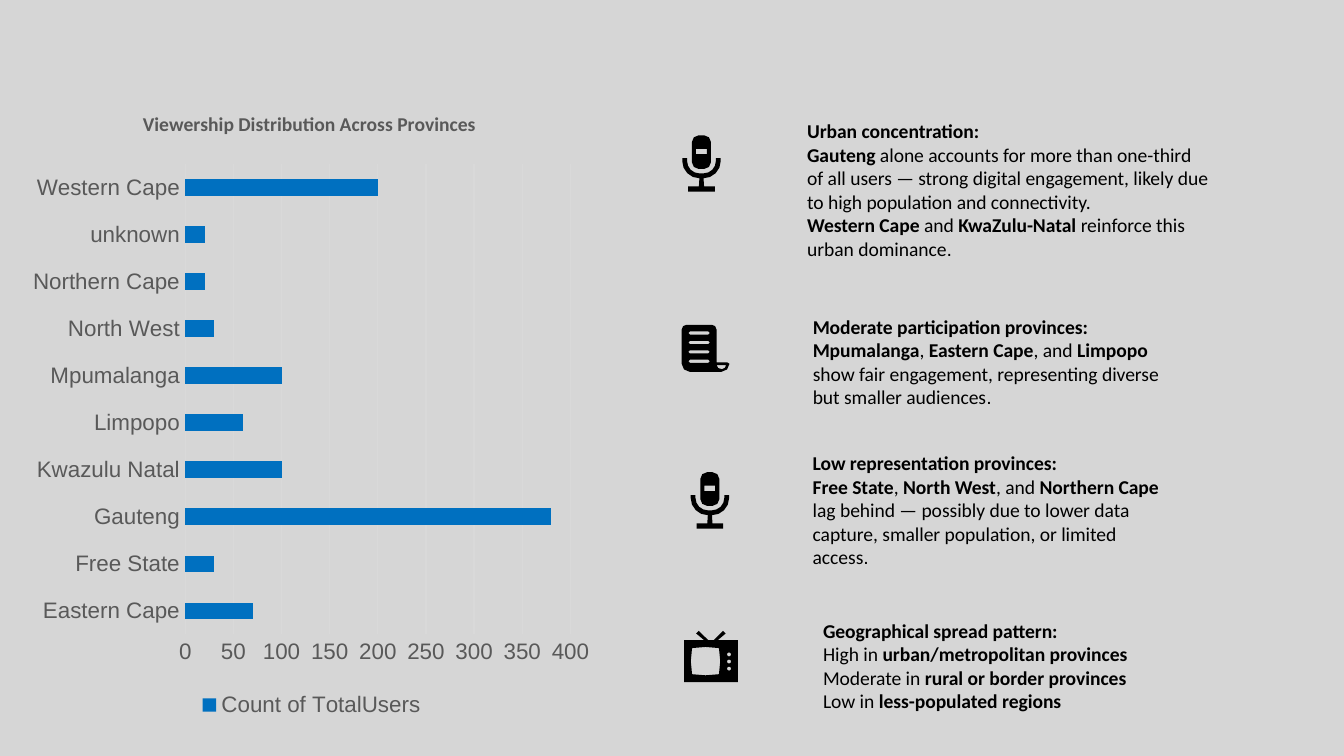
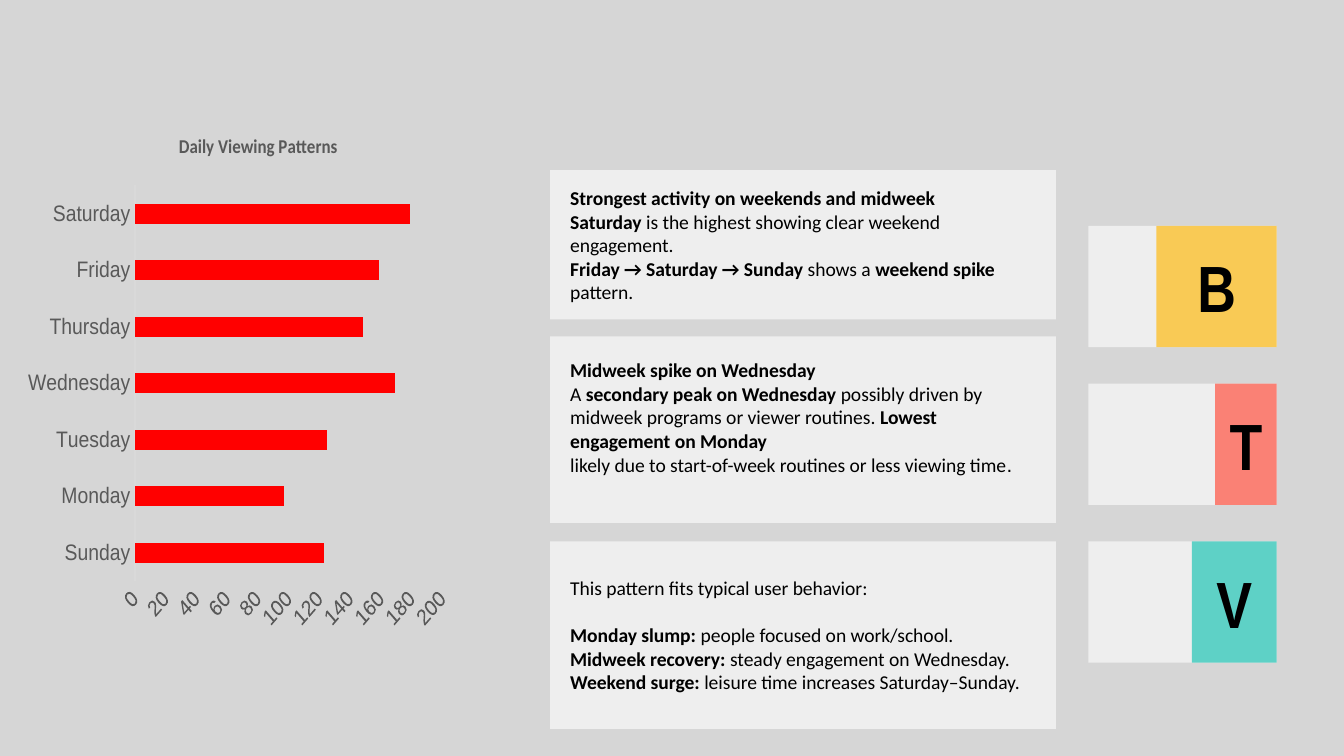
from dataclasses import dataclass
from math import cos, radians, sin
from typing import NamedTuple

from lxml.etree import SubElement, fromstring
from pptx import Presentation
from pptx.chart.data import CategoryChartData
from pptx.dml.color import RGBColor
from pptx.enum.chart import XL_CHART_TYPE as ChartType, XL_LEGEND_POSITION as LegendPosition
from pptx.enum.chart import XL_TICK_MARK as TickMark
from pptx.enum.shapes import MSO_SHAPE as Preset
from pptx.enum.text import MSO_ANCHOR as Anchor, PP_ALIGN as Align
from pptx.oxml.ns import qn
from pptx.util import Pt

BACKDROP, PANEL, INK = "D6D6D6", "EEEEEE", "000000"
CHART_GREY, GRID_GREY = "595959", "D9D9D9"
BODY_FONT, CHART_FONT, LETTER_FONT = "Calibri", "Arial", "Arial Narrow"
BODY_SIZE = 10.5
CHART_NS = "http://schemas.openxmlformats.org/drawingml/2006/chart"

Outline = list[tuple[float, float]]


class Frame(NamedTuple):
    left: float
    top: float
    width: float
    height: float


class Insets(NamedTuple):
    side: float
    top: float
    bottom: float


WIDE_INSETS = Insets(10.8, 7.2, 7.2)


@dataclass
class Note:
    """A text block; **...** marks bold spans."""
    frame: Frame
    lines: list[str]
    fill: str | None = None
    insets: Insets = WIDE_INSETS
    anchor: Anchor = Anchor.MIDDLE
    stop_size: float = 0  # size of a closing full stop in the chart font
    first_gap: float = 0


@dataclass
class BarChart:
    frame: Frame
    title: str
    title_spot: tuple[float, float]
    plot: Frame  # in fractions of the chart
    series: str
    values: dict[str, int]
    color: str
    maximum: int
    step: int
    grid: bool = False
    legend: bool = False
    label_angle: int = 0


class Tile(NamedTuple):
    letter: str
    width: float
    color: str


def rgb(color: str) -> RGBColor:
    return RGBColor.from_string(color)


def style_font(font, name: str, size: float, color: str, bold: bool | None = None) -> None:
    font.name, font.size, font.bold = name, Pt(size), bold
    font.color.rgb = rgb(color)


def paint(shape, color: str) -> None:
    """Flat fill, no line, no shadow."""
    shape.shadow.inherit = False
    shape.fill.solid()
    shape.fill.fore_color.rgb = rgb(color)
    shape.line.fill.background()


def add_box(page, frame: Frame, fill: str):
    box = page.shapes.add_shape(Preset.RECTANGLE, *map(Pt, frame))
    paint(box, fill)
    return box


def set_frame(box, insets: Insets, anchor: Anchor):
    text = box.text_frame
    text.word_wrap, text.vertical_anchor = True, anchor
    text.margin_left = text.margin_right = Pt(insets.side)
    text.margin_top, text.margin_bottom = Pt(insets.top), Pt(insets.bottom)
    return text


def add_note(page, note: Note) -> None:
    if note.fill:
        box = add_box(page, note.frame, note.fill)
    else:
        box = page.shapes.add_textbox(*map(Pt, note.frame))
    text = set_frame(box, note.insets, note.anchor)
    for index, line in enumerate(note.lines):
        para = text.add_paragraph() if index else text.paragraphs[0]
        para.alignment = Align.LEFT
        style_font(para.font, BODY_FONT, BODY_SIZE, INK)
        for position, words in enumerate(line.split("**")):
            if words:
                span = para.add_run()
                span.text = words
                span.font.bold = position % 2 == 1
    if note.first_gap:
        text.paragraphs[0].space_after = Pt(note.first_gap)
    if note.stop_size:
        span = para.add_run()
        span.text = "."
        style_font(span.font, CHART_FONT, note.stop_size, INK)


def add_tile(page, tile: Tile, top: float) -> None:
    right, track, height = 684, 101, 65
    add_box(page, Frame(right - track, top, track, height), PANEL)
    box = add_box(page, Frame(right - tile.width, top, tile.width, height), tile.color)
    para = set_frame(box, Insets(7.2, 7.2, 7.2), Anchor.MIDDLE).paragraphs[0]
    para.text, para.alignment = tile.letter, Align.CENTER
    style_font(para.font, LETTER_FONT, 35, INK, True)


def set_layout(parent, index: int, **places: float) -> None:
    """Place a chart part by hand, in fractions of the chart."""
    for old in parent.findall(qn("c:layout")):
        parent.remove(old)
    layout = fromstring(f'<c:layout xmlns:c="{CHART_NS}"><c:manualLayout/></c:layout>')
    settings = {"xMode": "edge", "yMode": "edge"} | places
    if "w" in places:
        settings = {"layoutTarget": "inner"} | settings
    for key, value in settings.items():
        SubElement(layout[0], qn(f"c:{key}")).set("val", str(value))
    parent.insert(index, layout)


def set_line(line, color: str, width: float) -> None:
    line.color.rgb, line.width = rgb(color), Pt(width)


def add_bar_chart(page, spec: BarChart) -> None:
    data = CategoryChartData()
    data.categories = list(spec.values)
    data.add_series(spec.series, list(spec.values.values()))
    chart = page.shapes.add_chart(ChartType.BAR_CLUSTERED, *map(Pt, spec.frame), data).chart
    style_font(chart.font, CHART_FONT, 10, INK)

    chart.has_title = True
    para = chart.chart_title.text_frame.paragraphs[0]
    para.text = spec.title
    style_font(para.font, BODY_FONT, BODY_SIZE, CHART_GREY, True)
    root = chart.element.find(qn("c:chart"))
    x, y = spec.title_spot
    set_layout(root.find(qn("c:title")), 1, x=x, y=y)
    x, y, w, h = spec.plot
    set_layout(root.find(qn("c:plotArea")), 0, x=x, y=y, w=w, h=h)

    for axis in (chart.category_axis, chart.value_axis):
        axis.major_tick_mark = axis.minor_tick_mark = TickMark.NONE
        axis.has_major_gridlines = False
        style_font(axis.tick_labels.font, CHART_FONT, 12, CHART_GREY)
    set_line(chart.category_axis.format.line, GRID_GREY, 0.75)
    scale = chart.value_axis
    scale.format.line.fill.background()
    scale.minimum_scale, scale.maximum_scale, scale.major_unit = 0, spec.maximum, spec.step
    if spec.grid:
        scale.has_major_gridlines = True
        set_line(scale.major_gridlines.format.line, GRID_GREY, 0.75)
    if spec.label_angle:
        body = root.find(f".//{qn('c:valAx')}/{qn('c:txPr')}/{qn('a:bodyPr')}")
        body.set("rot", str(spec.label_angle * 60000))

    plot = chart.plots[0]
    plot.gap_width, plot.vary_by_categories = 182, False
    fill = plot.series[0].format.fill
    fill.solid()
    fill.fore_color.rgb = rgb(spec.color)
    chart.has_legend = spec.legend
    if spec.legend:
        chart.legend.position = LegendPosition.BOTTOM
        chart.legend.include_in_layout = False
        style_font(chart.legend.font, CHART_FONT, 12, CHART_GREY)


def arc(x: float, y: float, radius: float, start: int, end: int) -> Outline:
    steps = 1 if radius < 1 else 2 if radius < 5 else 4
    angles = [radians(start + (end - start) * step / steps) for step in range(steps + 1)]
    return [(x + radius * cos(angle), y + radius * sin(angle)) for angle in angles]


def block(left: float, top: float, width: float, height: float) -> Outline:
    right, bottom = left + width, top + height
    return [(left, top), (right, top), (right, bottom), (left, bottom)]


def rounded(left: float, top: float, width: float, height: float, radius: float) -> Outline:
    near, far = left + radius, left + width - radius
    high, low = top + radius, top + height - radius
    return (arc(near, high, radius, 180, 270) + arc(far, high, radius, 270, 360)
            + arc(far, low, radius, 0, 90) + arc(near, low, radius, 90, 180))


def add_glyph(page, left: float, top: float, outlines: list[Outline]):
    """Draw one black shape; outlines after the first cut holes."""
    paths = [[(Pt(left + x), Pt(top + y)) for x, y in outline] for outline in outlines]
    builder = page.shapes.build_freeform(*paths[0][0])
    for index, path in enumerate(paths):
        if index:
            builder.move_to(*path[0])
        builder.add_line_segments(path[1:], close=True)
    glyph = builder.convert_to_shape()
    paint(glyph, INK)
    return glyph


def add_microphone(page, left: float, top: float) -> None:
    cradle = ([(0, 12.2)] + arc(9.2, 13.8, 9.2, 180, 90)
              + [(8.9, 27.4), (3.2, 27.4), (3.2, 30.2), (17.4, 30.2), (17.4, 27.4), (11.7, 27.4)]
              + arc(11.4, 13.8, 9.2, 90, 0) + [(20.6, 12.2), (18, 12.2)]
              + arc(11.4, 13.8, 6.6, 0, 90) + arc(9.2, 13.8, 6.6, 90, 180) + [(2.6, 12.2)])
    capsule = [rounded(5.2, 0, 10.2, 18, 3.6), block(7.4, 7.2, 5.8, 2.9)]
    parts = [add_glyph(page, left, top, outlines) for outlines in ([cradle], capsule)]
    page.shapes.add_group_shape(parts)


def add_scroll(page, left: float, top: float) -> None:
    sheet = (arc(2.6, 2.6, 2.6, 180, 270) + arc(16.1, 2.6, 2.6, 270, 360)
             + [(18.7, 20.2), (24.5, 20.2)] + arc(21.3, 20.9, 4.3, 0, 90)
             + arc(4.3, 20.9, 4.3, 90, 180))
    curl = [(23.8, 21.6), (23.2, 23), (21.6, 23.8), (19.6, 23.2), (18.7, 21.6)]
    rules = [rounded(3.6, 3.6 + 5.04 * row, 11.5, 1.7, 0.85) for row in range(4)]
    add_glyph(page, left, top, [sheet, curl, *rules])


def add_television(page, left: float, top: float) -> None:
    case = [(7.9, 0), (6.5, 1.4), (10.8, 5), (0, 5), (0, 27.4), (28.8, 27.4), (28.8, 5),
            (18, 5), (22.3, 1.4), (20.9, 0), (15.8, 5), (13, 5)]
    screen = [(4.3, 9.2), (11.5, 8.6), (18.7, 9.2), (19.4, 16.2),
              (18.7, 23.2), (11.5, 23.8), (4.3, 23.2), (3.6, 16.2)]
    knobs = [rounded(23, 11.5 + 3.8 * row, 2.2, 2.2, 1.1) for row in range(3)]
    add_glyph(page, left, top, [case, screen, *knobs])


PROVINCES = BarChart(
    Frame(13, 51, 308, 336), "Viewership Distribution Across Provinces", (0.2, 0.02),
    Frame(0.28, 0.11, 0.67, 0.75), "Count of TotalUsers",
    {"Eastern Cape": 70, "Free State": 30, "Gauteng": 380, "Kwazulu Natal": 100, "Limpopo": 60,
     "Mpumalanga": 100, "North West": 30, "Northern Cape": 20, "unknown": 20, "Western Cape": 200},
    "0070C0", 400, 50, grid=True, legend=True)
DAYS = BarChart(
    Frame(15, 59.8, 226, 314), "Daily Viewing Patterns", (0.27, 0.03),
    Frame(0.16, 0.126, 0.842, 0.675), "Series 1",
    {"Sunday": 123, "Monday": 97, "Tuesday": 125, "Wednesday": 169, "Thursday": 148,
     "Friday": 159, "Saturday": 179},
    "FF0000", 200, 20, label_angle=-45)

PROVINCE_NOTES = [
    Note(Frame(421.6, 60, 238, 83.5), [
        "**Urban concentration:**",
        "**Gauteng** alone accounts for more than one-third of all users — strong digital "
        "engagement, likely due to high population and connectivity.",
        "**Western Cape** and **KwaZulu-Natal** reinforce this urban dominance"], stop_size=10.5),
    Note(Frame(424.6, 155.5, 214.5, 76.5), [
        "**Moderate participation provinces:**",
        "**Mpumalanga**, **Eastern Cape**, and **Limpopo** show fair engagement, representing "
        "diverse but smaller audiences"], stop_size=10.5),
    Note(Frame(424.6, 237.5, 213, 71.5), [
        "**Low representation provinces:**",
        "**Free State**, **North West**, and **Northern Cape** lag behind — possibly due to lower "
        "data capture, smaller population, or limited access"], stop_size=10.5),
    Note(Frame(433.8, 327.8, 264, 70.5), [
        "**Geographical spread pattern:**", "High in **urban/metropolitan provinces**",
        "Moderate in **rural or border provinces**", "Low in **less-populated regions**"],
        insets=Insets(7.2, 3.6, 3.6), anchor=Anchor.TOP),
]
DAY_NOTES = [
    Note(Frame(294.7, 91.2, 271, 80), [
        "**Strongest activity on weekends and midweek**",
        "**Saturday** is the highest showing clear weekend engagement.",
        "**Friday → Saturday → Sunday** shows a **weekend spike** pattern."], PANEL),
    Note(Frame(294.7, 180.2, 271, 100), [
        "**Midweek spike on Wednesday**",
        "A **secondary peak on Wednesday **possibly driven by midweek programs or viewer "
        "routines.** Lowest engagement on Monday**",
        "likely due to start-of-week routines or less viewing time"],
        PANEL, Insets(10.8, 7.2, 20), stop_size=11),
    Note(Frame(294.7, 290, 271, 100.5), [
        "This pattern fits typical user behavior:",
        "**Monday slump:** people focused on work/school.",
        "**Midweek recovery:** steady engagement on Wednesday.",
        "**Weekend surge:** leisure time increases Saturday–Sunday."], PANEL, first_gap=12.6),
]
TILES = [Tile("B", 64.5, "F9CA55"), Tile("T", 33, "FA8175"), Tile("V", 45.5, "5ED1C6")]


def add_page(deck, chart: BarChart, notes: list[Note]):
    page = deck.slides.add_slide(deck.slide_layouts[6])
    add_bar_chart(page, chart)
    for note in notes:
        add_note(page, note)
    return page


def main() -> None:
    deck = Presentation()
    deck.slide_width, deck.slide_height = Pt(720), Pt(405)
    backdrop = deck.slide_master.background.fill
    backdrop.solid()
    backdrop.fore_color.rgb = rgb(BACKDROP)

    page = add_page(deck, PROVINCES, PROVINCE_NOTES)
    add_microphone(page, 365.5, 72.5)
    add_scroll(page, 365.2, 174)
    add_microphone(page, 370, 253)
    add_television(page, 366.5, 338)

    page = add_page(deck, DAYS, DAY_NOTES)
    for row, tile in enumerate(TILES):
        add_tile(page, tile, 121 + 84.5 * row)
    deck.save("out.pptx")


if __name__ == "__main__":
    main()
